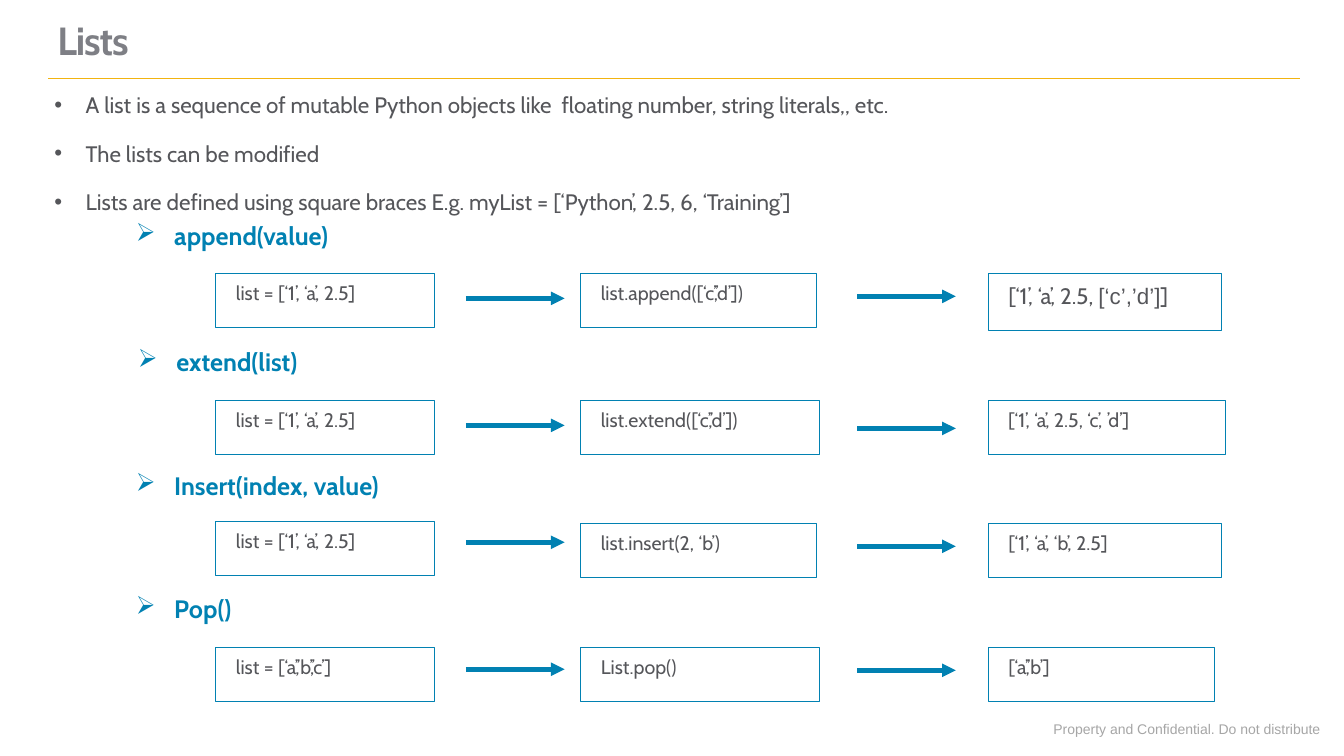
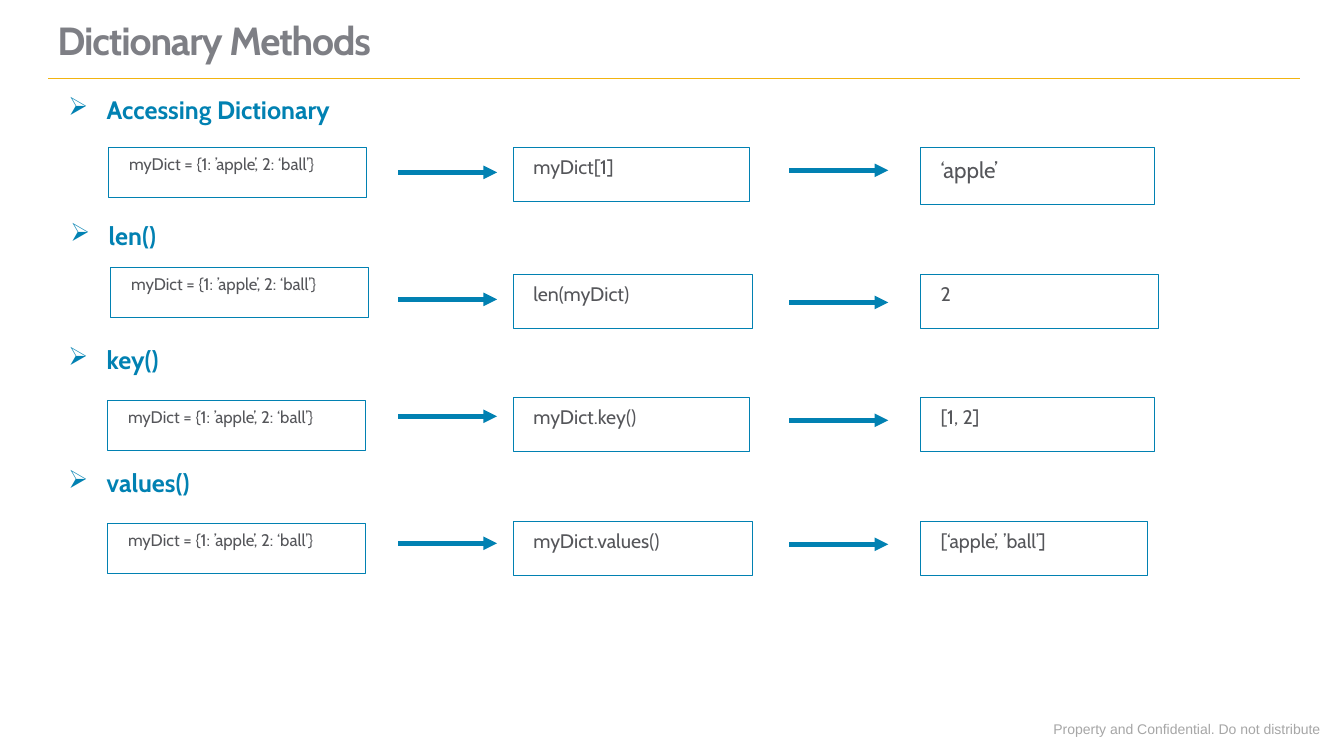
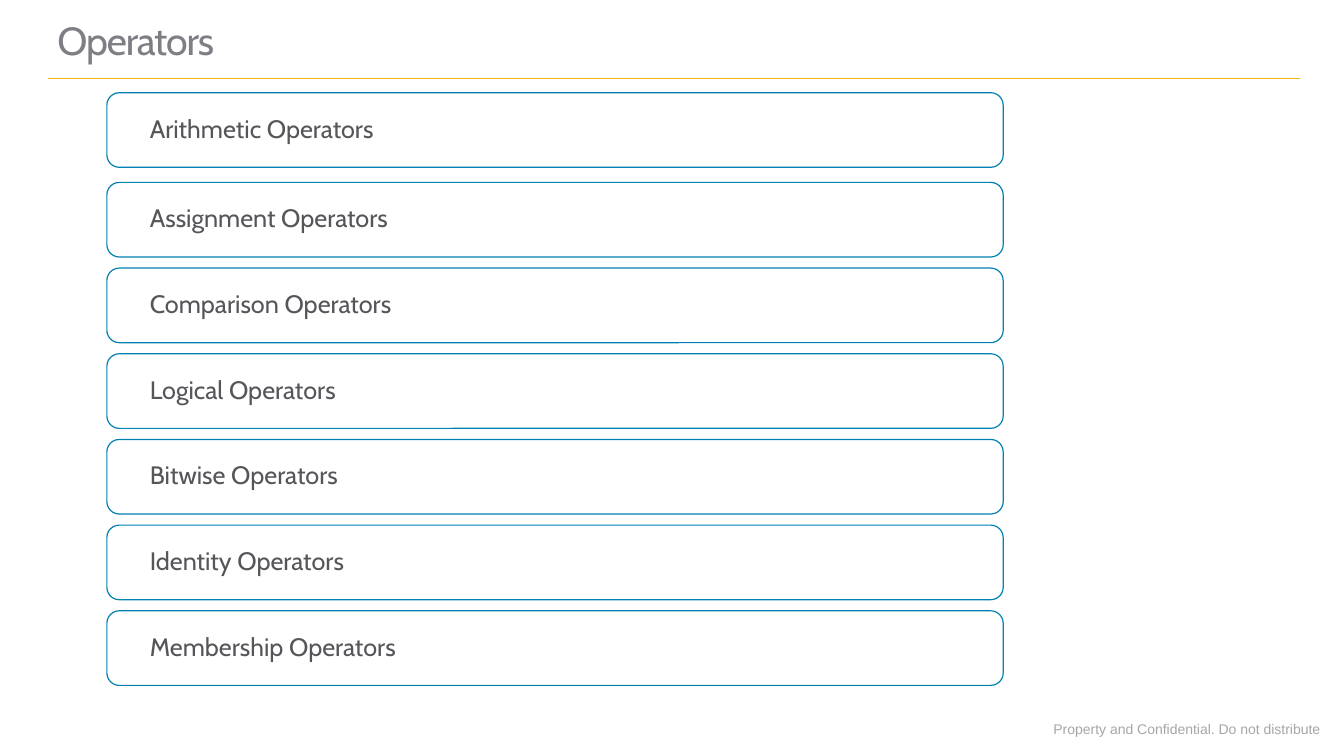
from itertools import cycle

from pptx import Presentation
from pptx import util as u
from pptx.dml.color import RGBColor
from pptx.enum import shapes, text
from pptx.oxml import parse_xml
from pptx.oxml.ns import nsdecls, qn

PX = 9144
BLUE = RGBColor(0x01, 0x81, 0xB2)
GOLD = RGBColor(0xF2, 0xB4, 0x11)
TITLE_GREY = RGBColor(0x7E, 0x7F, 0x85)
TEXT_GREY = RGBColor(0x55, 0x56, 0x5A)
FOOTER_GREY = RGBColor(0xA6, 0xA6, 0xA6)
FONT = "Cabin"
FOOTER_FONT = "Arial"

FOOTER = "Property and Confidential. Do not distribute"
LIST_POINTS = [
    "A list is a sequence of mutable Python objects like  floating number, string literals,, etc.",
    "The lists can be modified",
    "Lists are defined using square braces E.g. myList = [‘Python’, 2.5, 6, ‘Training’]",
]
SAMPLE_LIST = "list = [‘1’, ‘a’, 2.5]"
SAMPLE_DICT = "myDict = {1: ’apple’, 2: ‘ball’}"
LIST_METHODS = [
    ("append(value)", 217, SAMPLE_LIST, "list.append([‘c’,’d’])",
     ("[‘1’, ‘a’, 2.5, ", "[‘c’,’d’]", "]")),
    ("extend(list)", 181, SAMPLE_LIST, "list.extend([‘c’,’d’])", ("[‘1’, ‘a’, 2.5, ‘c’, ’d’]",)),
    ("Insert(index, value)", 267, SAMPLE_LIST, "list.insert(2, ‘b’)", ("[‘1’, ‘a’, ‘b’, 2.5]",)),
    ("Pop()", 116, "list = [‘a’,’b’,’c’]", "List.pop()", ("[‘a’,’b’]",)),
]
DICT_METHODS = [
    ("Accessing Dictionary", 289, SAMPLE_DICT, "myDict[1]", ("‘apple’",)),
    ("len()", 107, SAMPLE_DICT, "len(myDict)", ("2",)),
    ("key()", 111, SAMPLE_DICT, "myDict.key()", ("[1, 2]",)),
    ("values()", 142, SAMPLE_DICT, "myDict.values()", ("[‘apple’, ’ball’]",)),
]
OPERATORS = ["Arithmetic", "Assignment", "Comparison", "Logical", "Bitwise", "Identity", "Membership"]

ROWS = [
    dict(heading=(125, 217), top=271, call=234, result=232, size=16, arrows=(296, 294)),
    dict(heading=(127, 342), top=397, call=237, result=236, size=14, arrows=(422, 425)),
    dict(heading=(125, 465), top=519, call=234, result=232, size=14, arrows=(538, 542)),
    dict(heading=(125, 587), top=642, call=237, result=225, size=14, arrows=(664, 665)),
]
LIST_STARTS = [(214, 271), (214, 397), (214, 517), (214, 642)]
DICT_STARTS = [(108, 146), (110, 265), (107, 397), (107, 519)]
CALL_LEFT, RESULT_LEFT = 576, 980
ARROW_LEFTS, ARROW_LENGTH = (462, 850), 98
BOX_HEIGHTS = {12: 50, 14: 54, 16: 57}
BOX_INSETS = (20, 16, 20, 16)


def emu(*lengths):
    return [length * PX for length in lengths]


def set_frame(shape, insets, wrap=True, grow=True, anchor=text.MSO_ANCHOR.TOP):
    frame = shape.text_frame
    frame.margin_left, frame.margin_top, frame.margin_right, frame.margin_bottom = emu(*insets)
    frame.word_wrap = wrap
    frame.auto_size = text.MSO_AUTO_SIZE.SHAPE_TO_FIT_TEXT if grow else text.MSO_AUTO_SIZE.NONE
    frame.vertical_anchor = anchor
    return frame


def style(paragraph, size, color, bold=False, name=FONT, spacing=0.9, after=6):
    paragraph.alignment = text.PP_ALIGN.LEFT
    paragraph.line_spacing = spacing
    paragraph.space_before = u.Pt(0)
    paragraph.space_after = u.Pt(after)
    font = paragraph.font
    font.name, font.size, font.bold = name, u.Pt(size), bold
    font.color.rgb = color


def add_bullet(paragraph, character, indent):
    properties = paragraph._p.get_or_add_pPr()
    properties.set("marL", str(indent * PX))
    properties.set("indent", str(-indent * PX))
    properties.append(parse_xml(f'<a:buChar {nsdecls("a")} char="{character}"/>'))


def add_line(slide, left, y, length, color, weight, arrow=False):
    line = slide.shapes.add_connector(
        shapes.MSO_CONNECTOR.STRAIGHT, *emu(left, y, left + length, y))
    line.line.color.rgb = color
    line.line.width = u.Pt(weight)
    properties = line.element.spPr
    if arrow:
        properties.find(qn("a:ln")).append(
            parse_xml(f'<a:tailEnd {nsdecls("a")} type="triangle"/>'))
    properties.append(parse_xml(f'<a:effectLst {nsdecls("a")}/>'))
    return line


def add_outline(slide, kind, bounds, weight):
    shape = slide.shapes.add_shape(kind, *emu(*bounds))
    shape.shadow.inherit = False
    shape.fill.background()
    shape.line.color.rgb = BLUE
    shape.line.width = u.Pt(weight)
    return shape


def add_code_box(slide, left, top, width, size, parts):
    bounds = (left, top, width, BOX_HEIGHTS[size])
    box = add_outline(slide, shapes.MSO_SHAPE.RECTANGLE, bounds, 0.75)
    paragraph = set_frame(box, BOX_INSETS).paragraphs[0]
    style(paragraph, size, TEXT_GREY)
    for part, name in zip(parts, cycle((FONT, FOOTER_FONT))):
        run = paragraph.add_run()
        run.text = part
        if name != FONT:
            run.font.name = name


def add_heading(slide, left, top, width, label):
    box = slide.shapes.add_textbox(*emu(left, top, width, 37))
    paragraph = set_frame(box, (10, 5, 10, 5), wrap=False).paragraphs[0]
    paragraph.text = label
    add_bullet(paragraph, "➢", 38)
    style(paragraph, 18, BLUE, bold=True)


def add_method_rows(slide, methods, starts, start_width, start_size, shift=(0, 0)):
    dx, dy = shift
    for (label, width, start, call, result), row, (left, top) in zip(methods, ROWS, starts):
        x, y = row["heading"]
        add_heading(slide, x + dx, y + dy, width, label)
        add_code_box(slide, left, top, start_width, start_size, [start])
        row_top = row["top"] + dy
        add_code_box(slide, CALL_LEFT + dx, row_top, row["call"], 14, [call])
        add_code_box(slide, RESULT_LEFT + dx, row_top, row["result"], row["size"], result)
        for arrow_left, arrow_y in zip(ARROW_LEFTS, row["arrows"]):
            add_line(slide, arrow_left + dx, arrow_y + dy, ARROW_LENGTH, BLUE, 3.25, arrow=True)


def place(shape, *bounds):
    shape.left, shape.top, shape.width, shape.height = emu(*bounds)


def add_slide(presentation, layout, title, bold=True):
    slide = presentation.slides.add_slide(presentation.slide_layouts[layout])
    place(slide.shapes.title, 41, 0, 1000, 73)
    frame = set_frame(slide.shapes.title, (16, 10, 16, 10), grow=False,
                      anchor=text.MSO_ANCHOR.BOTTOM)
    paragraph = frame.paragraphs[0]
    style(paragraph, 28, TITLE_GREY, bold=bold, after=0)
    run = paragraph.add_run()
    run.text = title
    run._r.get_or_add_rPr().set("spc", "-80")
    return slide


def move_shared_parts_to_master(presentation, slide):
    footer = slide.shapes.add_textbox(*emu(1035, 710, 287, 27))
    paragraph = set_frame(footer, (10, 5, 10, 5), wrap=False).paragraphs[0]
    paragraph.text = FOOTER
    style(paragraph, 10, FOOTER_GREY, name=FOOTER_FONT, spacing=1.0, after=0)
    rule = add_line(slide, 48, 78, 1241, GOLD, 0.75)
    for part in (footer, rule):
        presentation.slide_master.shapes.element.append(part.element)


def add_points(slide):
    body = slide.placeholders[1]
    place(body, 34, 61, 1254, 165)
    frame = set_frame(body, BOX_INSETS)
    frame.text = "\n".join(LIST_POINTS)
    for paragraph in frame.paragraphs:
        add_bullet(paragraph, "•", 31)
        style(paragraph, 16, TEXT_GREY, spacing=1.5)


def add_operators(slide):
    for index, name in enumerate(OPERATORS):
        top = 96 + 85 * index if index else 92
        bounds = (106, top, 889, 74)
        box = add_outline(slide, shapes.MSO_SHAPE.ROUNDED_RECTANGLE, bounds, 0.85)
        frame = set_frame(box, (39, 7, 7, 7), grow=False, anchor=text.MSO_ANCHOR.MIDDLE)
        frame.text = f"{name} Operators"
        style(frame.paragraphs[0], 18, TEXT_GREY, after=0)


def main():
    presentation = Presentation()
    presentation.slide_width, presentation.slide_height = emu(1333, 750)

    lists = add_slide(presentation, 1, "Lists")
    move_shared_parts_to_master(presentation, lists)
    add_points(lists)
    add_method_rows(lists, LIST_METHODS, LIST_STARTS, 217, 14)

    dictionary = add_slide(presentation, 5, "Dictionary Methods")
    add_method_rows(dictionary, DICT_METHODS, DICT_STARTS, 256, 12, shift=(-67, -125))

    operators = add_slide(presentation, 5, "Operators", bold=False)
    add_operators(operators)

    presentation.save("out.pptx")


if __name__ == "__main__":
    main()
